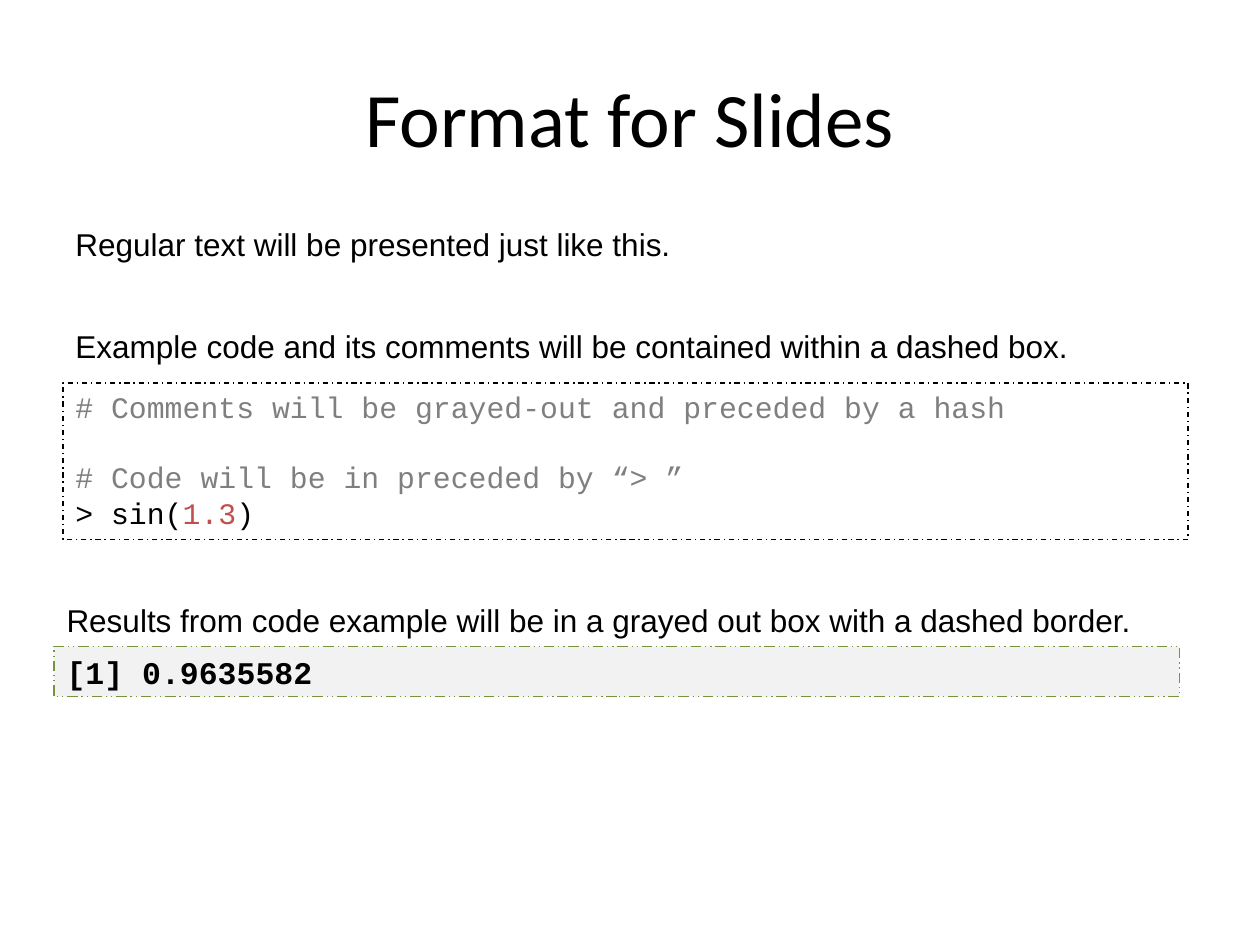
from pptx import Presentation
from pptx.dml.color import RGBColor
from pptx.enum.dml import MSO_LINE
from pptx.enum.shapes import MSO_SHAPE
from pptx.enum.text import MSO_ANCHOR, PP_ALIGN
from pptx.util import Inches, Pt

BLACK = RGBColor(0x00, 0x00, 0x00)
COMMENT_GRAY = RGBColor(0x7F, 0x7F, 0x7F)
NUMBER_RED = RGBColor(0xC0, 0x50, 0x4D)
RESULT_FILL = RGBColor(0xF2, 0xF2, 0xF2)
RESULT_BORDER = RGBColor(0x77, 0x93, 0x3C)

LEFT = 0.5
RESULT_LEFT = 0.43
TEXT_WIDTH = 9
BOX_WIDTH = 8.93
LINE_HEIGHT = 0.4
CODE_SIZE = 17
BLANK_LINE = 19.25


def place(shape, left, top, width, height):
    shape.left, shape.top = Inches(left), Inches(top)
    shape.width, shape.height = Inches(width), Inches(height)


def set_font(font, name, size, color, bold=False):
    font.name = name
    font.size = Pt(size)
    font.color.rgb = color
    font.bold = bold


def add_title(slide, text):
    title = slide.shapes.title
    place(title, LEFT, 0.3, TEXT_WIDTH, 1.25)
    title.text_frame.vertical_anchor = MSO_ANCHOR.MIDDLE
    paragraph = title.text_frame.paragraphs[0]
    paragraph.text = text
    paragraph.alignment = PP_ALIGN.CENTER
    set_font(paragraph.font, "Calibri", 44, BLACK)


def add_sentence(slide, left, top, text):
    text_box = slide.shapes.add_textbox(
        Inches(left), Inches(top), Inches(TEXT_WIDTH), Inches(LINE_HEIGHT))
    text_box.text_frame.word_wrap = True
    paragraph = text_box.text_frame.paragraphs[0]
    paragraph.text = text
    set_font(paragraph.font, "Arial", 18, BLACK)


def add_dashed_box(slide, left, top, height, border, dash, fill=None):
    box = slide.shapes.add_shape(
        MSO_SHAPE.RECTANGLE,
        Inches(left), Inches(top), Inches(BOX_WIDTH), Inches(height))
    box.shadow.inherit = False
    if fill is None:
        box.fill.background()
    else:
        box.fill.solid()
        box.fill.fore_color.rgb = fill
    box.line.color.rgb = border
    box.line.width = Pt(0.75)
    box.line.dash_style = dash
    box.text_frame.word_wrap = True
    box.text_frame.vertical_anchor = MSO_ANCHOR.TOP
    return box.text_frame


def format_line(paragraph, text, size, color, bold=False):
    paragraph.text = text
    paragraph.alignment = PP_ALIGN.LEFT
    set_font(paragraph.font, "Courier New", size, color, bold)


def add_code_box(slide):
    text_frame = add_dashed_box(
        slide, LEFT, 3.04, 1.24, BLACK, MSO_LINE.DASH_DOT)
    first_comment = text_frame.paragraphs[0]
    format_line(first_comment,
                "# Comments will be grayed-out and preceded by a hash",
                CODE_SIZE, COMMENT_GRAY)
    first_comment.space_after = Pt(BLANK_LINE)
    format_line(text_frame.add_paragraph(),
                "# Code will be in preceded by “> ”",
                CODE_SIZE, COMMENT_GRAY)
    code = text_frame.add_paragraph()
    code.alignment = PP_ALIGN.LEFT
    for text, color in (("> sin(", BLACK), ("1.3", NUMBER_RED), (")", BLACK)):
        run = code.add_run()
        run.text = text
        set_font(run.font, "Courier New", CODE_SIZE, color)


def add_result_box(slide):
    text_frame = add_dashed_box(
        slide, RESULT_LEFT, 5.13, LINE_HEIGHT, RESULT_BORDER,
        MSO_LINE.DASH_DOT_DOT, RESULT_FILL)
    format_line(text_frame.paragraphs[0], "[1] 0.9635582", 18, BLACK, bold=True)


def main():
    presentation = Presentation()
    presentation.slide_width = Inches(10)
    presentation.slide_height = Inches(7.5)
    slide = presentation.slides.add_slide(presentation.slide_layouts[5])
    add_title(slide, "Format for Slides")
    add_sentence(slide, LEFT, 1.74,
                 "Regular text will be presented just like this.")
    add_sentence(slide, LEFT, 2.55,
                 "Example code and its comments will be contained within a dashed box.")
    add_code_box(slide)
    add_result_box(slide)
    add_sentence(slide, RESULT_LEFT, 4.72,
                 "Results from code example will be in a grayed out box with a dashed border.")
    presentation.save("out.pptx")


if __name__ == "__main__":
    main()
